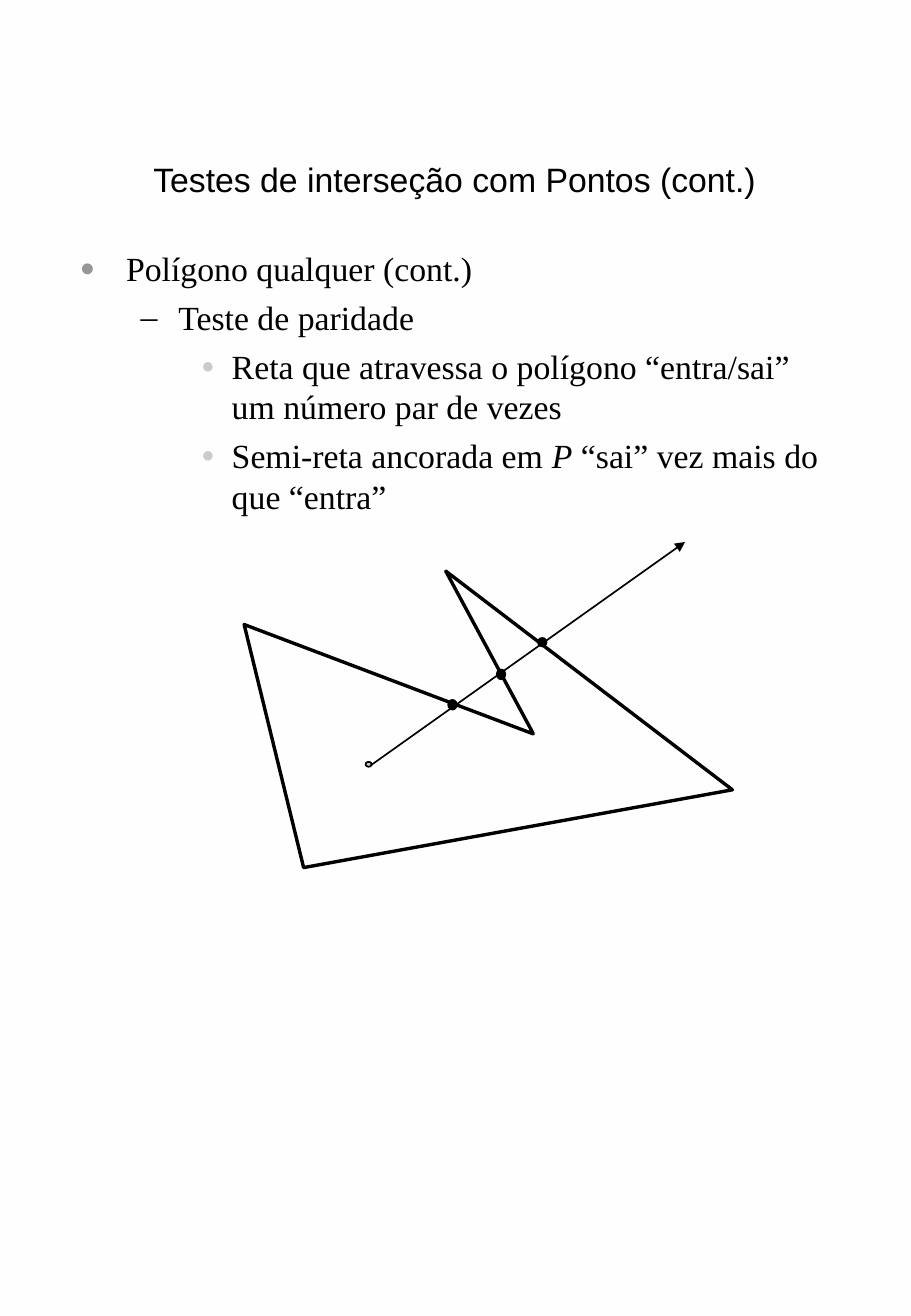
from lxml import etree
from pptx import Presentation
from pptx.dml.color import RGBColor
from pptx.enum.shapes import MSO_CONNECTOR, MSO_SHAPE
from pptx.enum.text import MSO_ANCHOR, MSO_AUTO_SIZE, PP_ALIGN
from pptx.oxml.ns import qn
from pptx.util import Inches, Pt

STRAIGHT = MSO_CONNECTOR.STRAIGHT
OVAL = MSO_SHAPE.OVAL
MIDDLE = MSO_ANCHOR.MIDDLE
NO_FIT = MSO_AUTO_SIZE.NONE
CENTER = PP_ALIGN.CENTER

BLACK = RGBColor(0x00, 0x00, 0x00)
WHITE = RGBColor(0xFF, 0xFF, 0xFF)
OFF_WHITE = RGBColor(0xFE, 0xFE, 0xFE)
GRAY = RGBColor(0x96, 0x96, 0x96)
LIGHT_GRAY = RGBColor(0xCB, 0xCB, 0xCB)

# Outline levels: left margin, hanging indent, bullet, colour, size in percent
LEVELS = [
    (0.38, 0.38, "●", GRAY, 75),
    (0.81, 0.31, "–", BLACK, 100),
    (1.25, 0.25, "●", LIGHT_GRAY, 65),
]

# Each outline item: level, then (text, italic) runs
OUTLINE = [
    (0, [("Polígono qualquer (cont.)", False)]),
    (1, [("Teste de paridade", False)]),
    (2, [("Reta que atravessa o polígono “entra/sai” um número par de vezes", False)]),
    (2, [("Semi-reta ancorada em ", False), ("P", True),
         (" “sai” vez mais do que “entra”", False)]),
]

POLYGON = [(2.5, 7.14), (2.01, 5.14), (4.39, 6.04), (4.37, 6), (3.67, 4.7), (6.03, 6.5)]
CROSSINGS = [(3.69, 5.76, 0.07, 0.08), (4.43, 5.25, 0.07, 0.07), (4.09, 5.51, 0.07, 0.08)]


class SlideWriter:
    title_font = "Arial"
    body_font = "Times New Roman"
    text_size = Pt(20)

    def __init__(self, slide):
        self.slide = slide
        self.shapes = slide.shapes

    def background(self, start, end):
        fill = self.slide.background.fill
        fill.gradient()
        fill.gradient_angle = 180
        for stop, color in zip(fill.gradient_stops, (start, end)):
            stop.color.rgb = color

    def place(self, shape, left, top, width, height):
        shape.left, shape.top = Inches(left), Inches(top)
        shape.width, shape.height = Inches(width), Inches(height)

    def add_run(self, paragraph, text, font_name, italic=False):
        run = paragraph.add_run()
        run.text = text
        font = run.font
        font.name, font.size, font.italic = font_name, self.text_size, italic
        font.color.rgb = BLACK

    def title(self, text, *box):
        heading = self.shapes.title
        self.place(heading, *box)
        frame = heading.text_frame
        frame.auto_size = NO_FIT
        frame.vertical_anchor = MIDDLE
        frame.paragraphs[0].alignment = CENTER
        self.add_run(frame.paragraphs[0], text, self.title_font)

    def bullet(self, paragraph, level):
        margin, hanging, char, color, percent = LEVELS[level]
        properties = paragraph._p.get_or_add_pPr()
        properties.set("marL", str(Inches(margin)))
        properties.set("indent", str(-Inches(hanging)))
        bullet_color = etree.SubElement(properties, qn("a:buClr"))
        etree.SubElement(bullet_color, qn("a:srgbClr"), val=str(color))
        etree.SubElement(properties, qn("a:buSzPct"), val=str(percent * 1000))
        etree.SubElement(properties, qn("a:buFont"), typeface=self.body_font)
        etree.SubElement(properties, qn("a:buChar"), char=char)

    def outline(self, items, *box):
        frame = self.shapes.add_textbox(*map(Inches, box)).text_frame
        frame.word_wrap = True
        for index, (level, runs) in enumerate(items):
            paragraph = frame.add_paragraph() if index else frame.paragraphs[0]
            paragraph.level = level
            self.bullet(paragraph, level)
            paragraph.line_spacing = Pt(24)
            paragraph.space_before = Pt(5 if index else 0)
            for text, italic in runs:
                self.add_run(paragraph, text, self.body_font, italic)

    def stroke(self, shape, width):
        shape.line.color.rgb = BLACK
        shape.line.width = Pt(width)

    def polygon(self, points):
        corners = [(Inches(x), Inches(y)) for x, y in points]
        builder = self.shapes.build_freeform(*corners[0])
        builder.add_line_segments(corners[1:], close=True)
        polygon = builder.convert_to_shape()
        polygon.shadow.inherit = False
        polygon.fill.background()
        self.stroke(polygon, 2)
        etree.SubElement(polygon.line._get_or_add_ln(), qn("a:round"))

    def dot(self, color, *box):
        dot = self.shapes.add_shape(OVAL, *map(Inches, box))
        dot.shadow.inherit = False
        dot.fill.solid()
        dot.fill.fore_color.rgb = color
        self.stroke(dot, 1)

    def arrow(self, *ends):
        ray = self.shapes.add_connector(STRAIGHT, *map(Inches, ends))
        self.stroke(ray, 1)
        etree.SubElement(ray.line._get_or_add_ln(), qn("a:tailEnd"), type="triangle")
        etree.SubElement(ray._element.spPr, qn("a:effectLst"))


def main():
    deck = Presentation()
    deck.slide_width, deck.slide_height = Inches(7.5), Inches(10.83)
    writer = SlideWriter(deck.slides.add_slide(deck.slide_layouts[5]))
    writer.background(OFF_WHITE, WHITE)

    # Title and outline
    writer.title("Testes de interseção com Pontos (cont.)", 0.56, 0.96, 6.37, 1.02)
    writer.outline(OUTLINE, 0.56, 1.99, 6.37, 2.61)

    # Polygon, with the ray from P and its crossings
    writer.polygon(POLYGON)
    writer.dot(LIGHT_GRAY, 3.01, 6.27, 0.05, 0.04)
    writer.arrow(3.05, 6.3, 5.64, 4.46)
    for crossing in CROSSINGS:
        writer.dot(BLACK, *crossing)

    deck.save("out.pptx")


if __name__ == "__main__":
    main()
